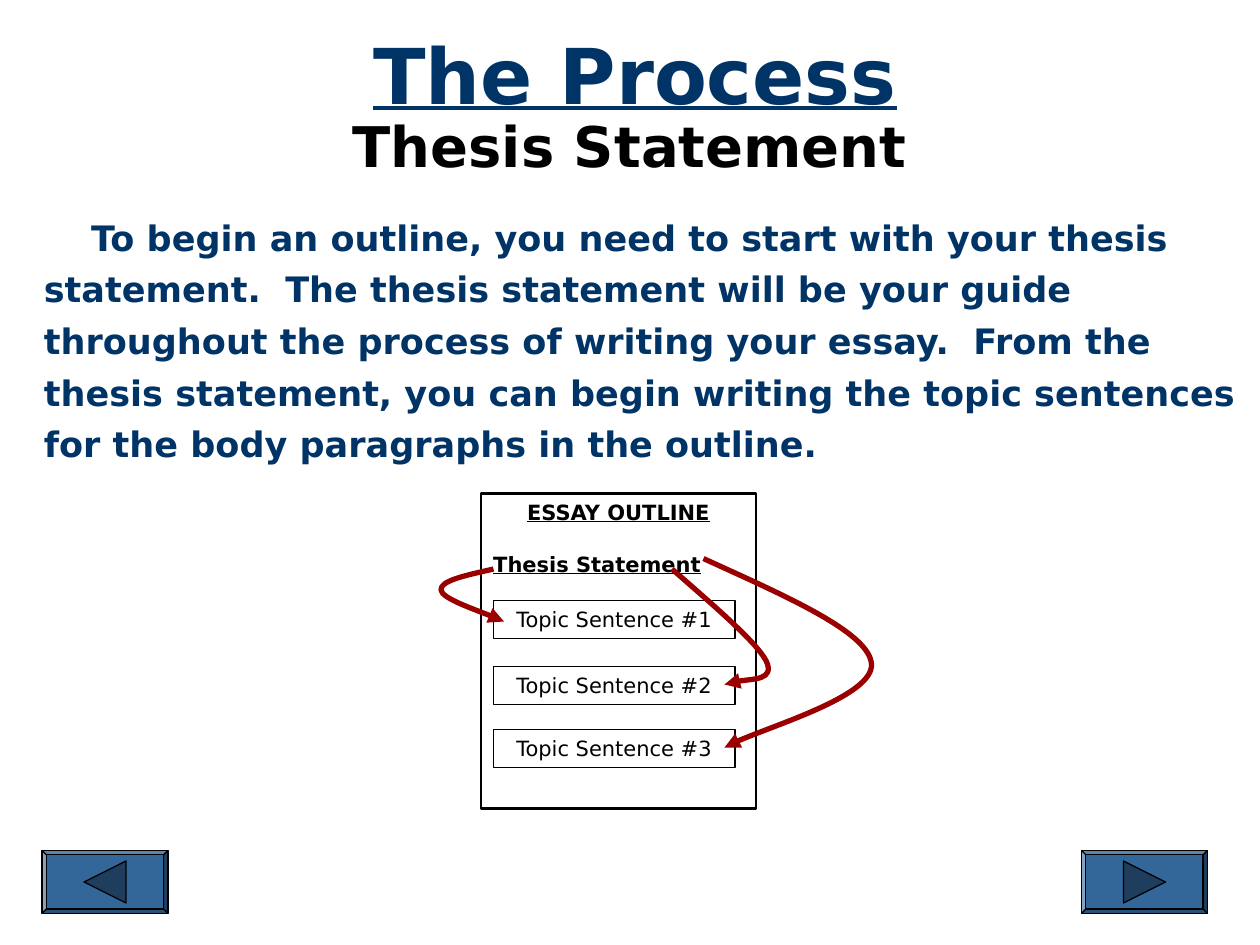
"""Build the thesis statement slide of an essay outline lesson."""
from pptx import Presentation
from pptx.dml.color import RGBColor
from pptx.enum.shapes import MSO_SHAPE as Preset
from pptx.enum.text import MSO_ANCHOR as Anchor, PP_ALIGN as Align
from pptx.oxml.ns import qn
from pptx.util import Inches, Pt
from lxml.etree import SubElement

NAVY, BLACK, WHITE = "003366", "000000", "FFFFFF"
BUTTON_BLUE, ARROW_BLUE, RED = "336699", "1F3D5C", "9A0000"
COLUMNS, ROWS = 120, 90

presentation = Presentation()
presentation.slide_width, presentation.slide_height = Inches(10), Inches(7.5)
CELL = presentation.slide_width // COLUMNS
slide = presentation.slides.add_slide(presentation.slide_layouts[6])
shapes = slide.shapes


def paint(shape, fill, line, width):
    shape.shadow.inherit = False
    if fill:
        shape.fill.solid()
        shape.fill.fore_color.rgb = RGBColor.from_string(fill)
    else:
        shape.fill.background()
    shape.line.color.rgb = RGBColor.from_string(line)
    shape.line.width = Pt(width)


def write(shape, text, size, color, bold=True, underline=False,
          align=Align.CENTER, anchor=Anchor.TOP, gap=0):
    frame = shape.text_frame
    frame.word_wrap = True
    frame.vertical_anchor = anchor
    frame.text = text
    for number, paragraph in enumerate(frame.paragraphs):
        paragraph.alignment = align
        paragraph.space_before = Pt(gap if number else 0)
        font = paragraph.runs[0].font
        font.name, font.size = "DejaVu Sans", Pt(size)
        font.bold, font.underline = bold, underline
        font.color.rgb = RGBColor.from_string(color)
    return frame


title = shapes.add_textbox(33 * CELL, 2 * CELL, 55 * CELL, 10 * CELL)
write(title, "The Process", 44, NAVY, underline=True, anchor=Anchor.BOTTOM)

subtitle = shapes.add_textbox(5 * CELL, 10 * CELL, 110 * CELL, 7.7 * CELL)
write(subtitle, "Thesis Statement", 32, BLACK)

for column, rotation in ((4, -90), (103, 90)):
    button = shapes.add_shape(
        Preset.BEVEL, column * CELL, 81 * CELL, 12 * CELL, 6 * CELL)
    button.adjustments[0] = 0.07
    paint(button, BUTTON_BLUE, BLACK, 0.75)
    triangle = shapes.add_shape(
        Preset.ISOSCELES_TRIANGLE,
        (column + 4) * CELL, 82 * CELL, 4 * CELL, 4 * CELL)
    triangle.rotation = rotation
    paint(triangle, ARROW_BLUE, BLACK, 0.75)

body_lines = (
    "To begin an outline, you need to start with your thesis",
    "statement.  The thesis statement will be your guide",
    "throughout the process of writing your essay.  From the",
    "thesis statement, you can begin writing the topic sentences",
    "for the body paragraphs in the outline.",
)
body = shapes.add_textbox(3 * CELL, 20 * CELL, 117 * CELL, 26 * CELL)
body_frame = write(body, "\n".join(body_lines), 20, NAVY,
                   align=Align.LEFT, gap=5.5)
first_line = body_frame.paragraphs[0]._p.get_or_add_pPr()
first_line.set("indent", str(int(4.5 * CELL)))

outline = shapes.add_shape(
    Preset.RECTANGLE, 45.8 * CELL, 47 * CELL, 26.2 * CELL, 30 * CELL)
paint(outline, WHITE, BLACK, 1.5)
outline_frame = write(outline, "ESSAY OUTLINE\nThesis Statement", 12, BLACK,
                      underline=True, gap=15)
outline_frame.paragraphs[1].alignment = Align.LEFT

for number, row in enumerate((57.2, 63.5, 69.5), start=1):
    topic = shapes.add_shape(
        Preset.RECTANGLE, 47 * CELL, row * CELL, 23 * CELL, 3.6 * CELL)
    paint(topic, None, BLACK, 0.75)
    write(topic, f"Topic Sentence #{number}", 12, BLACK, bold=False)

curves = (
    ((47, 54.2), (44.4, 54.8), (41.9, 55.3), (42, 56.2),
     (42.1, 57), (47, 58.7), (48, 59.2)),
    ((64, 54.2), (68, 57.7), (72.1, 61.2), (73, 63),
     (73.8, 64.8), (69.7, 64.8), (69, 65.2)),
    ((67, 53.2), (74.9, 56.8), (82.7, 60.2), (83, 63.2),
     (83.3, 66.2), (71.3, 69.8), (69, 71.2)),
)
for curve in curves:
    start, *controls = [(x * CELL, y * CELL) for x, y in curve]
    builder = shapes.build_freeform(*start)
    builder.add_line_segments(controls, close=False)
    arrow = builder.convert_to_shape()
    paint(arrow, None, RED, 3)
    segments = list(arrow._element.iter(qn("a:lnTo")))
    outline_element = segments[0].getparent()
    for first in range(0, len(segments), 3):
        bezier = SubElement(outline_element, qn("a:cubicBezTo"))
        for segment in segments[first:first + 3]:
            bezier.append(segment[0])
            outline_element.remove(segment)
    SubElement(arrow.line._get_or_add_ln(), qn("a:tailEnd"), type="triangle")

presentation.save("out.pptx")
